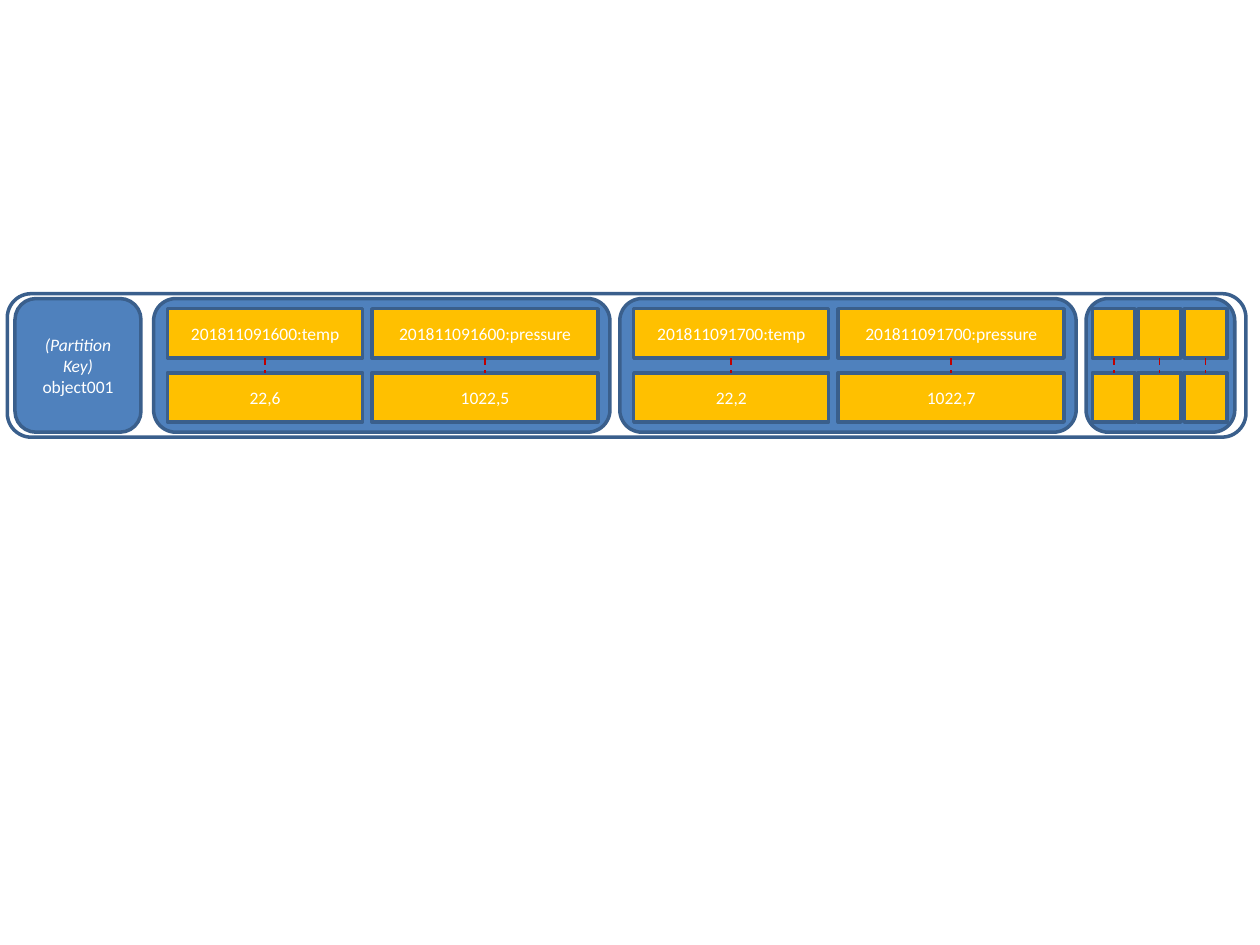
from pptx import Presentation
from pptx.dml.color import RGBColor
from pptx.enum.dml import MSO_LINE_DASH_STYLE as Dash
from pptx.enum.shapes import MSO_CONNECTOR as Connector, MSO_SHAPE as Shape
from pptx.enum.text import MSO_ANCHOR as Anchor, PP_ALIGN as Align
from pptx.oxml.ns import qn
from pptx.util import Pt
from lxml.etree import SubElement

COLORS = {
    "blue": "4F81BD",
    "border": "3A5F8C",
    "amber": "FFC000",
    "link": "C00000",
    "text": "FFFFFF",
}
CELL_HEIGHT = 28.2
NAME_TOP = 5.8
VALUE_TOP = 42.4


def color(name):
    return RGBColor.from_string(COLORS[name])


def add_box(page, kind, left, top, width, height, fill=None, lines=()):
    box = page.shapes.add_shape(kind, Pt(left), Pt(top), Pt(width), Pt(height))
    box.shadow.inherit = False
    if fill:
        box.fill.solid()
        box.fill.fore_color.rgb = color(fill)
    else:
        box.fill.background()
    box.line.color.rgb = color("border")
    box.line.width = Pt(2)
    frame = box.text_frame
    frame.word_wrap = True
    frame.vertical_anchor = Anchor.MIDDLE
    for index, (text, italic) in enumerate(lines):
        para = frame.add_paragraph() if index else frame.paragraphs[0]
        para.alignment = Align.CENTER
        span = para.add_run()
        span.text = text
        span.font.name = "Calibri"
        span.font.size = Pt(10)
        span.font.italic = italic
        span.font.color.rgb = color("text")


def add_link(page, x, top, bottom):
    link = page.shapes.add_connector(
        Connector.STRAIGHT, Pt(x), Pt(top), Pt(x), Pt(bottom))
    link.line.color.rgb = color("link")
    link.line.width = Pt(1)
    link.line.dash_style = Dash.DASH
    SubElement(link._element.spPr, qn("a:effectLst"))


def add_column(page, left, top, width, name, value):
    for offset, text in ((NAME_TOP, name), (VALUE_TOP, value)):
        lines = [(text, False)] if text else []
        add_box(page, Shape.RECTANGLE, left, top + offset, width,
                CELL_HEIGHT, "amber", lines)
    add_link(page, left + width / 2, top + NAME_TOP + CELL_HEIGHT,
             top + VALUE_TOP)


def add_group(page, left, top, width, height, columns):
    add_box(page, Shape.ROUNDED_RECTANGLE, left, top, width, height, "blue")
    for offset, column_width, name, value in columns:
        add_column(page, left + offset, top, column_width, name, value)


def add_reading(page, left, top, height, stamp, temp, pressure):
    columns = [
        (7.9, 111.5, f"{stamp}:temp", temp),
        (124.8, 129, f"{stamp}:pressure", pressure),
    ]
    add_group(page, left, top, 260.8, height, columns)


def add_partition(page, left, top, width, height):
    add_box(page, Shape.ROUNDED_RECTANGLE, left, top, width, height)
    inner_top, inner_height = top + 2.8, height - 5.6
    add_box(page, Shape.ROUNDED_RECTANGLE, left + 4.4, inner_top, 72,
            inner_height, "blue",
            [("(Partition Key)", True), ("object001", False)])
    readings = [
        ("201811091600", "22,6", "1022,5"),
        ("201811091700", "22,2", "1022,7"),
    ]
    for index, reading in enumerate(readings):
        add_reading(page, left + 83.6 + index * 266.4, inner_top,
                    inner_height, *reading)
    blanks = [(3.6 + index * 26.2, 24.5, "", "") for index in range(3)]
    add_group(page, left + 616.4, inner_top, 85, inner_height, blanks)


deck = Presentation()
deck.slide_width = Pt(720)
deck.slide_height = Pt(540)
page = deck.slides.add_slide(deck.slide_layouts[6])
add_partition(page, 4.2, 167.8, 707.8, 82)
deck.save("out.pptx")
